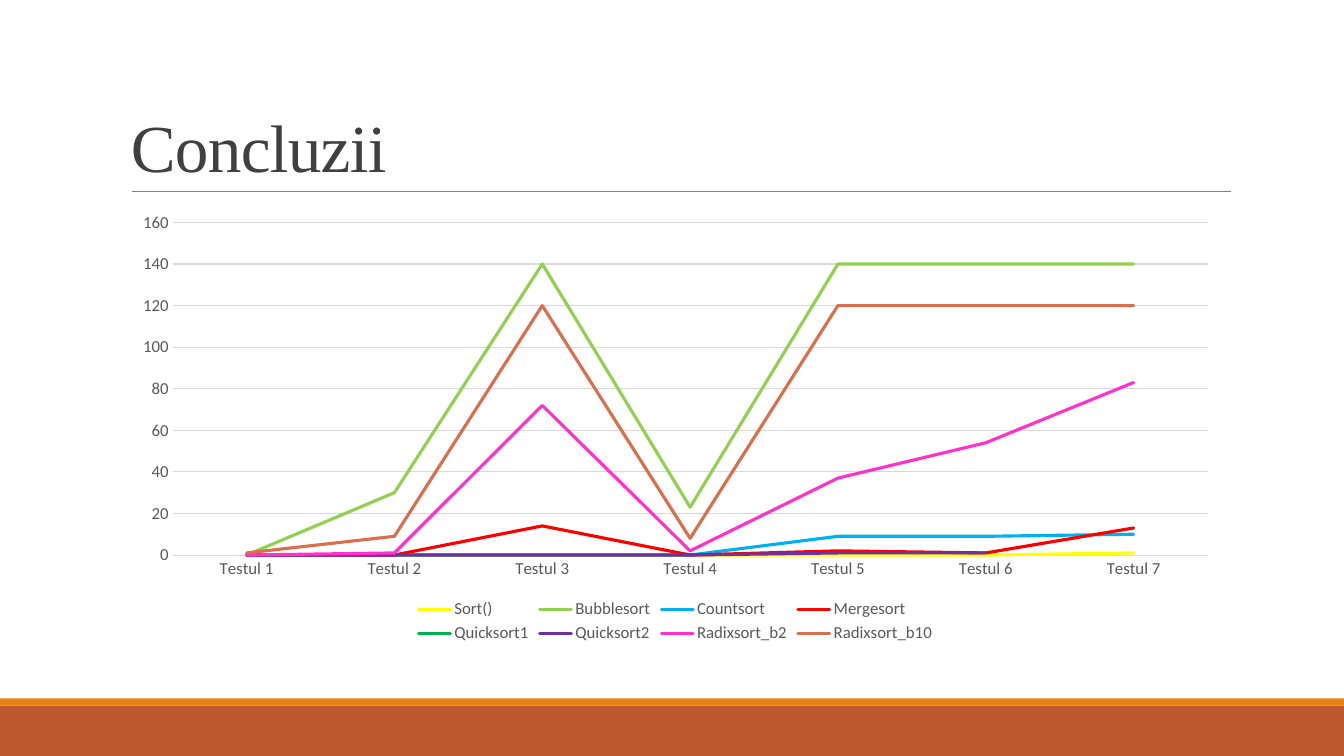
from lxml.etree import SubElement
from pptx import Presentation
from pptx.chart.data import CategoryChartData
from pptx.dml.color import RGBColor
from pptx.enum.chart import XL_CHART_TYPE, XL_LEGEND_POSITION, XL_TICK_MARK
from pptx.enum.shapes import MSO_CONNECTOR, MSO_SHAPE
from pptx.enum.text import MSO_ANCHOR
from pptx.oxml.ns import qn
from pptx.util import Inches, Pt

RUST = RGBColor(0xBD, 0x58, 0x2C)
ORANGE = RGBColor(0xE4, 0x83, 0x12)
RULE_GREY = RGBColor(0x80, 0x80, 0x80)
TITLE_GREY = RGBColor(0x40, 0x40, 0x40)
LABEL_GREY = RGBColor(0x59, 0x59, 0x59)
GRID_GREY = RGBColor(0xD9, 0xD9, 0xD9)
YELLOW = RGBColor(0xFF, 0xFF, 0x00)
LIME = RGBColor(0x92, 0xD0, 0x50)
SKY = RGBColor(0x00, 0xB0, 0xF0)
RED = RGBColor(0xFF, 0x00, 0x00)
GREEN = RGBColor(0x00, 0xB0, 0x50)
PURPLE = RGBColor(0x70, 0x30, 0xA0)
PINK = RGBColor(0xFF, 0x33, 0xCC)
CORAL = RGBColor(0xDB, 0x6F, 0x4D)

COLUMNS, ROWS = 40, 30
LEFT, SPAN = 3.6, 33

TESTS = [f"Testul {number}" for number in range(1, 8)]
TIMINGS = [
    ("Sort()", YELLOW, (0, 0, 0, 0, 0, 0, 1)),
    ("Bubblesort", LIME, (0, 30, 140, 23, 140, 140, 140)),
    ("Countsort", SKY, (0, 0, 0, 0, 9, 9, 10)),
    ("Mergesort", RED, (0, 0, 14, 0, 2, 1, 13)),
    ("Quicksort1", GREEN, (0, None, None, None, None, None, None)),
    ("Quicksort2", PURPLE, (0, 0, 0, 0, 1, 1, None)),
    ("Radixsort_b2", PINK, (0, 1, 72, 2, 37, 54, 83)),
    ("Radixsort_b10", CORAL, (1, 9, 120, 8, 120, 120, 120)),
]


class SlideBuilder:
    """Draws on one slide; positions are in columns and rows."""

    title_font = "Times New Roman"
    chart_font = "Calibri"

    def __init__(self, deck):
        self.column = deck.slide_width / COLUMNS
        self.row = deck.slide_height / ROWS
        self.shapes = deck.slides.add_slide(deck.slide_layouts[6]).shapes

    def place(self, left, top, width, height):
        """Turn grid units into slide lengths."""
        return (round(left * self.column), round(top * self.row),
                round(width * self.column), round(height * self.row))

    def band(self, top, height, color):
        band = self.shapes.add_shape(
            MSO_SHAPE.RECTANGLE, *self.place(0, top, COLUMNS, height))
        band.shadow.inherit = False
        band.fill.solid()
        band.fill.fore_color.rgb = color
        band.line.fill.background()

    def rule(self, start, end, row):
        rule = self.shapes.add_connector(
            MSO_CONNECTOR.STRAIGHT, *self.place(start, row, end, row))
        rule.line.color.rgb = RULE_GREY
        rule.line.width = Pt(0.5)
        SubElement(rule.element.spPr, qn("a:effectLst"))

    def title(self, text, top, height):
        box = self.shapes.add_textbox(*self.place(LEFT, top, SPAN, height))
        frame = box.text_frame
        frame.word_wrap = True
        frame.vertical_anchor = MSO_ANCHOR.BOTTOM
        frame.text = text
        para = frame.paragraphs[0]
        para.line_spacing = 0.85
        span = para.runs[0]
        self.style_font(span.font, self.title_font, 48, TITLE_GREY)
        span.font._element.set("spc", "-50")

    def line_chart(self, categories, timings, top, height):
        data = CategoryChartData()
        data.categories = categories
        for name, _, values in timings:
            data.add_series(name, values)
        chart = self.shapes.add_chart(
            XL_CHART_TYPE.LINE, *self.place(LEFT, top, SPAN, height), data).chart
        self.style_font(chart.font, self.chart_font, 12, LABEL_GREY)
        chart.has_title = False
        chart.has_legend = True
        chart.legend.position = XL_LEGEND_POSITION.BOTTOM
        chart.legend.include_in_layout = False
        self.style_font(chart.legend.font, self.chart_font, 12, LABEL_GREY)
        self.style_axes(chart)
        plot = chart.plots[0]
        plot.vary_by_categories = False
        for series, (_, color, _) in zip(plot.series, timings):
            series.smooth = False
            self.style_line(series.format.line, color, 2.25)
            series.format.line._ln.set("cap", "rnd")

    def style_axes(self, chart):
        for axis in (chart.category_axis, chart.value_axis):
            axis.major_tick_mark = XL_TICK_MARK.NONE
            axis.minor_tick_mark = XL_TICK_MARK.NONE
            self.style_font(axis.tick_labels.font, self.chart_font, 12, LABEL_GREY)
        self.style_line(chart.category_axis.format.line, GRID_GREY, 0.75)
        values = chart.value_axis
        values.minimum_scale, values.maximum_scale, values.major_unit = 0, 160, 20
        values.format.line.fill.background()
        values.has_major_gridlines = True
        self.style_line(values.major_gridlines.format.line, GRID_GREY, 0.75)

    @staticmethod
    def style_font(font, name, size, color):
        font.name = name
        font.size = Pt(size)
        font.color.rgb = color

    @staticmethod
    def style_line(line, color, width):
        line.color.rgb = color
        line.width = Pt(width)


def main():
    deck = Presentation()
    deck.slide_width, deck.slide_height = Inches(13.33), Inches(7.5)
    slide = SlideBuilder(deck)
    slide.band(28, 2, RUST)
    slide.band(27.72, 0.28, ORANGE)
    slide.rule(3.93, 36.63, 7.6)
    slide.title("Concluzii", 1.24, 6.36)
    slide.line_chart(TESTS, TIMINGS, 8.08, 17.6)
    deck.save("out.pptx")


if __name__ == "__main__":
    main()
